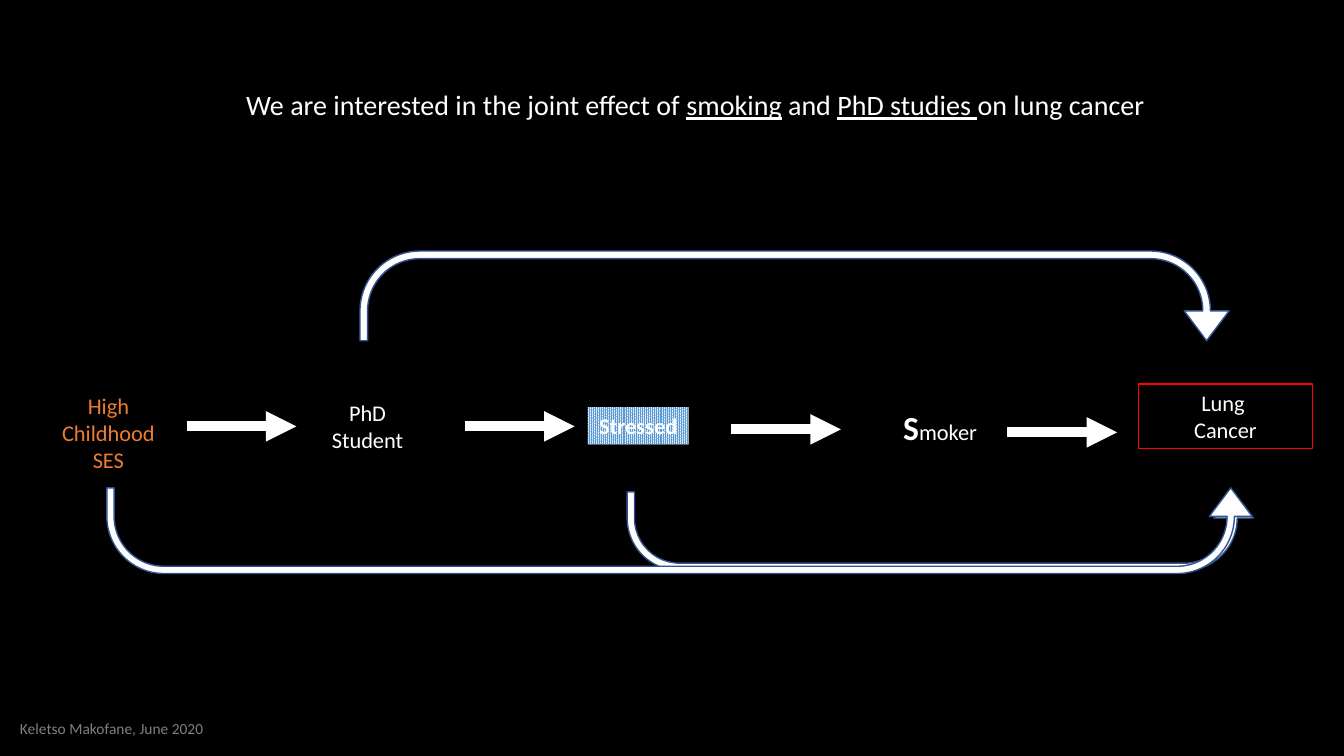
from dataclasses import dataclass
from typing import Any, Optional

from lxml import etree
from pptx import Presentation
from pptx.dml.color import RGBColor
from pptx.enum import dml, shapes, text
from pptx.oxml import ns
from pptx.util import Inches, Pt


@dataclass(frozen=True)
class Theme:
    font: str = "Calibri"
    back: str = "000000"
    ink: str = "FFFFFF"
    warm: str = "ED7D31"
    grey: str = "808080"
    red: str = "FF0000"
    blue: str = "5B9BD5"
    edge: str = "325491"
    head: int = 20
    body: int = 16
    big: int = 24
    foot: int = 11


THEME = Theme()


@dataclass(frozen=True)
class Span:
    words: str
    size: int = THEME.body
    color: str = THEME.ink
    bold: bool = False
    under: bool = False


@dataclass(frozen=True)
class Box:
    left: float
    top: float
    width: float
    height: float


@dataclass(frozen=True)
class Node:
    box: Box
    lines: list[list[Span]]
    center: bool = True
    wrap: bool = True
    frame: Optional[str] = None
    dotted: bool = False


@dataclass(frozen=True)
class Turn:
    box: Box
    stem: float
    flip: bool = False


@dataclass(frozen=True)
class Step:
    left: float
    top: float


STEP = 1.09
TITLE = Node(
    Box(2.34, 0.82, 9.13, 0.44),
    [[
        Span("We are interested in the joint effect of ", THEME.head),
        Span("smoking", THEME.head, under=True),
        Span(" and ", THEME.head),
        Span("PhD studies ", THEME.head, under=True),
        Span("on lung cancer", THEME.head),
    ]],
    center=False,
    wrap=False,
)
NODES = [
    Node(Box(0.37, 3.84, 1.41, 0.91),
         [[Span("High Childhood", color=THEME.warm)], [Span("SES", color=THEME.warm)]]),
    Node(Box(2.94, 3.91, 1.41, 0.64), [[Span("PhD")], [Span("Student")]]),
    Node(Box(5.83, 4.04, 1, 0.37), [[Span("Stressed", bold=True)]], dotted=True),
    Node(Box(8.86, 3.99, 1.86, 0.5),
         [[Span("S", THEME.big, bold=True), Span("moker")]], center=False),
    Node(Box(11.29, 3.81, 1.73, 0.64), [[Span("Lung ")], [Span("Cancer")]], frame=THEME.red),
    Node(Box(0.1, 7.08, 2.04, 0.29),
         [[Span("Keletso Makofane, June 2020", THEME.foot, THEME.grey)]],
         center=False, wrap=False),
]
STEPS = [Step(1.85, 4.23), Step(4.61, 4.23), Step(7.25, 4.26), Step(9.99, 4.29)]
TURNS = [
    Turn(Box(3.57, 2.49, 8.62, 0.89), 0.085),
    Turn(Box(6.22, 4.88, 6.21, 0.78), 0.093, flip=True),
    Turn(Box(1.06, 4.84, 11.36, 0.85), 0.085, flip=True),
]


def rgb(code: str) -> RGBColor:
    return RGBColor.from_string(code)


def place(box: Box) -> list[int]:
    return [Inches(n) for n in (box.left, box.top, box.width, box.height)]


def write(shape: Any, node: Node) -> None:
    frame = shape.text_frame
    frame.word_wrap = node.wrap
    frame.auto_size = text.MSO_AUTO_SIZE.SHAPE_TO_FIT_TEXT
    frame.vertical_anchor = text.MSO_ANCHOR.TOP
    for i, line in enumerate(node.lines):
        para = frame.add_paragraph() if i else frame.paragraphs[0]
        para.alignment = text.PP_ALIGN.CENTER if node.center else text.PP_ALIGN.LEFT
        para.line_spacing = 1.0
        for span in line:
            run = para.add_run()
            run.text = span.words
            font = run.font
            font.name = THEME.font
            font.size = Pt(span.size)
            font.bold = span.bold
            font.underline = span.under
            font.color.rgb = rgb(span.color)


def draw_title(slide: Any) -> None:
    title = slide.shapes.title
    title.left, title.top, title.width, title.height = place(TITLE.box)
    write(title, TITLE)


def draw_node(slide: Any, node: Node) -> None:
    if node.frame or node.dotted:
        shape = slide.shapes.add_shape(shapes.MSO_SHAPE.RECTANGLE, *place(node.box))
        shape.shadow.inherit = False
    else:
        shape = slide.shapes.add_textbox(*place(node.box))
    if node.dotted:
        shape.fill.patterned()
        shape.fill.pattern = dml.MSO_PATTERN.PERCENT_90
        shape.fill.fore_color.rgb = rgb(THEME.blue)
        shape.fill.back_color.rgb = rgb(THEME.ink)
        shape.line.fill.background()
    elif node.frame:
        shape.fill.background()
        shape.line.color.rgb = rgb(node.frame)
        shape.line.width = Pt(0.75)
    write(shape, node)


def draw_step(slide: Any, step: Step) -> None:
    x, y = Inches(step.left), Inches(step.top)
    arrow = slide.shapes.add_connector(
        shapes.MSO_CONNECTOR.STRAIGHT, x, y, x + Inches(STEP), y)
    arrow.line.color.rgb = rgb(THEME.ink)
    arrow.line.width = Pt(7.25)
    etree.SubElement(arrow.line._get_or_add_ln(), ns.qn("a:tailEnd"), type="triangle")
    etree.SubElement(arrow.element.spPr, ns.qn("a:effectLst"))


def draw_turn(slide: Any, turn: Turn) -> None:
    shape = slide.shapes.add_shape(shapes.MSO_SHAPE.U_TURN_ARROW, *place(turn.box))
    for i, part in enumerate((turn.stem, 0.25, 0.333, 0.667, 1)):
        shape.adjustments[i] = part
    shape.shadow.inherit = False
    shape.fill.solid()
    shape.fill.fore_color.rgb = rgb(THEME.ink)
    shape.line.color.rgb = rgb(THEME.edge)
    shape.line.width = Pt(1)
    if turn.flip:
        shape.element.spPr.find(ns.qn("a:xfrm")).set("flipV", "1")


def main() -> None:
    deck = Presentation()
    deck.slide_width, deck.slide_height = Inches(13.33), Inches(7.5)
    slide = deck.slides.add_slide(deck.slide_layouts[5])
    slide.background.fill.solid()
    slide.background.fill.fore_color.rgb = rgb(THEME.back)
    draw_title(slide)
    for node in NODES:
        draw_node(slide, node)
    for step in STEPS:
        draw_step(slide, step)
    for turn in TURNS:
        draw_turn(slide, turn)
    deck.save("out.pptx")


if __name__ == "__main__":
    main()
